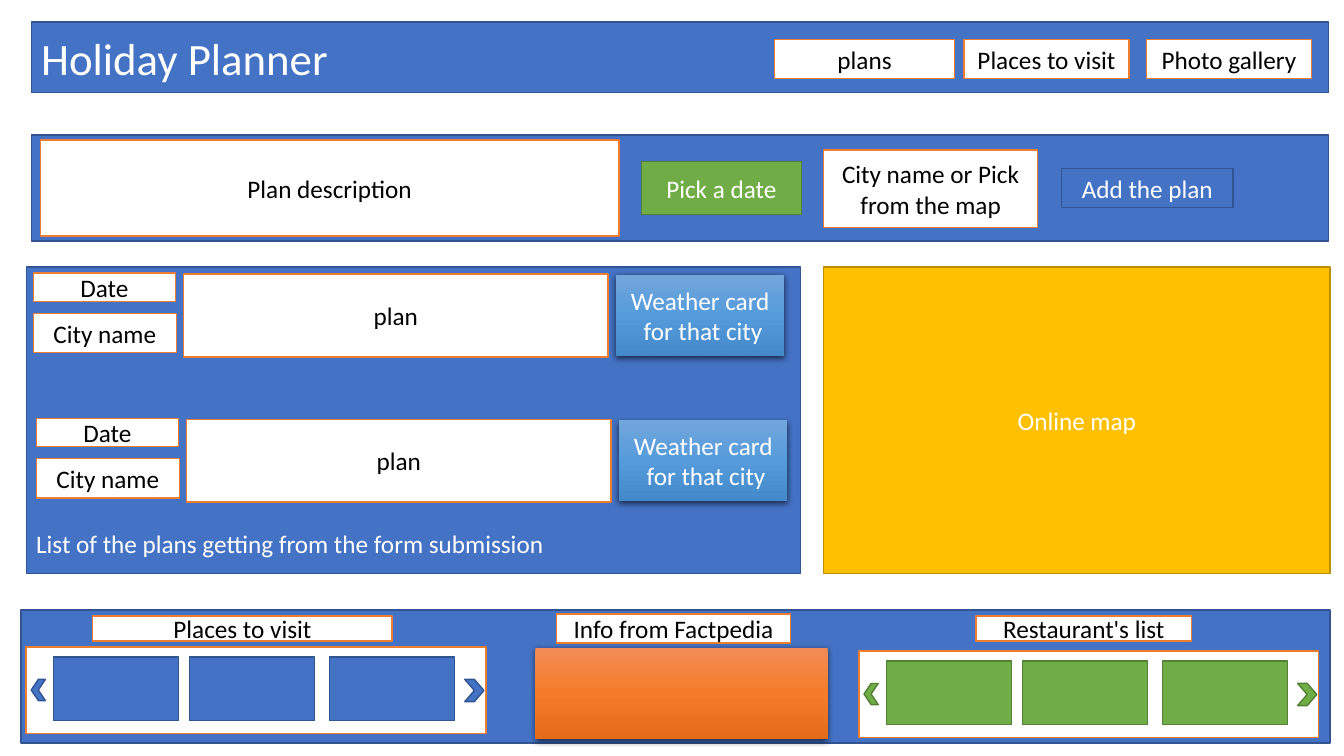
from copy import deepcopy
from dataclasses import dataclass

from lxml import etree
from pptx import Presentation
from pptx.dml.color import RGBColor
from pptx.enum.shapes import MSO_SHAPE
from pptx.enum.text import MSO_ANCHOR, PP_ALIGN
from pptx.oxml.ns import qn
from pptx.util import Inches, Pt

RECTANGLE = MSO_SHAPE.RECTANGLE
CHEVRON = MSO_SHAPE.CHEVRON
LEFT, CENTER = PP_ALIGN.LEFT, PP_ALIGN.CENTER
MIDDLE, BOTTOM = MSO_ANCHOR.MIDDLE, MSO_ANCHOR.BOTTOM


@dataclass(frozen=True)
class Theme:
    font: str = "Calibri"
    title_size: int = 32
    body_size: int = 18
    light: str = "FFFFFF"
    dark: str = "000000"
    blue: tuple = ("4472C4", "325491")
    green: tuple = ("70AD47", "538035")
    gold: tuple = ("FFC000", "BD8E00")
    white: tuple = ("FFFFFF", "ED7D31")
    sky: tuple = ("71A6DB", "559BDB", "448ACA")
    orange: tuple = ("F18C57", "F67B28", "E56C19")


def apply_format(target, values):
    for name, value in values.items():
        setattr(target, name, value)


class Wireframe:
    def __init__(self, slide, theme):
        self.slide = slide
        self.theme = theme

    def outline(self, kind, bounds):
        shape = self.slide.shapes.add_shape(kind, *map(Inches, bounds))
        shape.shadow.inherit = False
        return shape

    def label(self, shape, text, color, size=None, align=CENTER, anchor=MIDDLE):
        frame = shape.text_frame
        apply_format(frame, {"word_wrap": True, "vertical_anchor": anchor})
        frame.text = text
        font_format = {"name": self.theme.font, "size": Pt(size or self.theme.body_size)}
        for paragraph in frame.paragraphs:
            paragraph.alignment = align
            for run in paragraph.runs:
                apply_format(run.font, font_format)
                run.font.color.rgb = RGBColor.from_string(color)

    def block(self, bounds, colors, text="", kind=RECTANGLE, **text_format):
        shape = self.outline(kind, bounds)
        fill, border = colors
        shape.fill.solid()
        shape.fill.fore_color.rgb = RGBColor.from_string(fill)
        shape.line.color.rgb = RGBColor.from_string(border)
        shape.line.width = Pt(1)
        if text:
            ink = self.theme.dark if colors == self.theme.white else self.theme.light
            self.label(shape, text, ink, **text_format)
        return shape

    def card(self, bounds, shades, text=""):
        shape = self.outline(RECTANGLE, bounds)
        shape.line.fill.background()
        shape.fill.gradient()
        shape.fill.gradient_angle = 270
        properties = shape._element.spPr
        stops = properties.find(qn("a:gradFill")).find(qn("a:gsLst"))
        stops.insert(1, deepcopy(stops[0]))
        for stop, position, shade in zip(shape.fill.gradient_stops, (0, 0.5, 1), shades):
            stop.position = position
            stop.color.rgb = RGBColor.from_string(shade)
        effects = properties.find(qn("a:effectLst"))
        shadow = etree.SubElement(effects, qn("a:outerShdw"), {
            "blurRad": str(Pt(4.5)), "dist": str(Pt(1.5)), "dir": "5400000",
            "algn": "ctr", "rotWithShape": "0"})
        tone = etree.SubElement(shadow, qn("a:srgbClr"), val=self.theme.dark)
        etree.SubElement(tone, qn("a:alpha"), val="63000")
        if text:
            self.label(shape, text, self.theme.light)

    def trip(self, left, top):
        white = self.theme.white
        self.block((left, top, 1.41, 0.28), white, "Date")
        self.block((left, top + 0.4, 1.42, 0.39), white, "City name")
        self.block((left + 1.49, top + 0.01, 4.21, 0.82), white, "plan")
        self.card((left + 5.78, top + 0.02, 1.67, 0.8), self.theme.sky,
                  "Weather card\n for that city")

    def carousel(self, left, top, colors):
        self.block((left, top, 4.56, 0.86), self.theme.white)
        for offset in (0.27, 1.62, 3.01):
            self.block((left + offset, top + 0.1, 1.24, 0.63), colors)
        self.block((left + 4.35, top + 0.32, 0.19, 0.22), colors, kind=CHEVRON)
        previous = self.block((left + 0.05, top + 0.32, 0.14, 0.21), colors, kind=CHEVRON)
        previous.rotation = 180


def main():
    presentation = Presentation()
    apply_format(presentation, {"slide_width": Inches(13.33), "slide_height": Inches(7.5)})
    theme = Theme()
    page = Wireframe(presentation.slides.add_slide(presentation.slide_layouts[6]), theme)

    page.block((0.31, 0.22, 12.87, 0.7), theme.blue, "Holiday Planner",
               size=theme.title_size, align=LEFT)
    for left, width, tab in ((7.68, 1.79, "plans"), (9.56, 1.64, "Places to visit"),
                             (11.37, 1.64, "Photo gallery")):
        page.block((left, 0.39, width, 0.39), theme.white, tab)

    page.block((0.31, 1.34, 12.87, 1.05), theme.blue)
    page.block((0.4, 1.39, 5.74, 0.95), theme.white, "Plan description")
    page.block((6.36, 1.6, 1.59, 0.53), theme.green, "Pick a date")
    page.block((8.17, 1.49, 2.12, 0.77), theme.white, "City name or Pick from the map")
    page.block((10.53, 1.67, 1.7, 0.39), theme.blue, "Add the plan")

    plan_list = page.block((0.26, 2.65, 7.68, 3.04), theme.blue,
                           "List of the plans getting from the form submission",
                           align=LEFT, anchor=BOTTOM)
    plan_list.text_frame.margin_bottom = Inches(0.15)
    for left, top in ((0.33, 2.71), (0.36, 4.15)):
        page.trip(left, top)
    page.block((8.17, 2.65, 5.02, 3.04), theme.gold, "Online map")

    page.block((0.21, 6.05, 12.98, 1.32), theme.blue)
    for bounds, heading in (((0.92, 6.11, 2.97, 0.25), "Places to visit"),
                            ((5.52, 6.09, 2.32, 0.29), "Info from Factpedia"),
                            ((9.68, 6.11, 2.14, 0.25), "Restaurant's list")):
        page.block(bounds, theme.white, heading)
    page.carousel(0.26, 6.42, theme.blue)
    page.carousel(8.52, 6.46, theme.green)
    page.card((5.31, 6.43, 2.9, 0.9), theme.orange)

    presentation.save("out.pptx")


if __name__ == "__main__":
    main()
